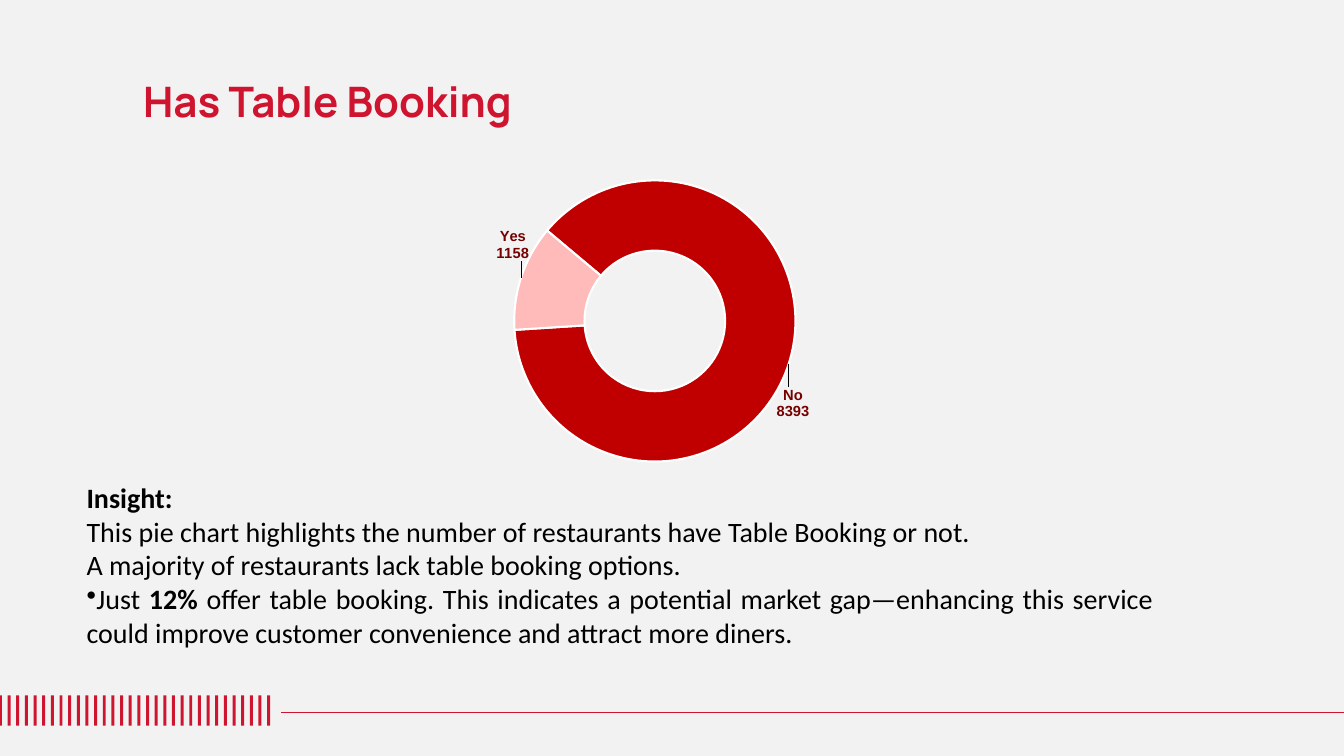
import copy
from dataclasses import dataclass

import pptx
import pptx.chart.data
import pptx.dml.color
import pptx.enum.chart
import pptx.enum.shapes
import pptx.enum.text
import pptx.oxml
import pptx.oxml.ns
import pptx.util
from pptx.util import Inches

# Content
TITLE = "Has Table Booking"
# answer: restaurants, slice colour, label shift as a share of the chart
BOOKING = {
    "No": (8393, "C00000", (0.10, 0.16)),
    "Yes": (1158, "FFBABA", (-0.11, -0.14)),
}
# (bulleted, [(text, bold), ...])
INSIGHT = [
    (False, [("Insight:", True)]),
    (False, [("This pie chart highlights the number of restaurants "
              "have Table Booking or not.", False)]),
    (False, [("A majority of restaurants lack table booking options.", False)]),
    (True, [("Just ", False), ("12% ", True),
            ("offer table booking. This indicates a potential market "
             "gap—enhancing this service could improve customer convenience "
             "and attract more diners.", False)]),
]


@dataclass(frozen=True)
class Theme:
    background: str = "F2F2F2"
    accent: str = "CF142F"
    label: str = "760000"
    text: str = "000000"
    slice_edge: str = "FFFFFF"
    title_font: str = "Manrope"
    body_font: str = "Calibri"
    chart_font: str = "Arial"
    title_size: float = 30
    body_size: float = 20
    chart_size: float = 10
    label_size: float = 10.5


THEME = Theme()


def rgb(colour):
    return pptx.dml.color.RGBColor.from_string(colour)


def style(font, name, size, colour, bold):
    font.name, font.size, font.bold = name, pptx.util.Pt(size), bold
    font.color.rgb = rgb(colour)


def chart_xml(body):
    return pptx.oxml.parse_xml(body.replace(
        ">", " " + pptx.oxml.ns.nsdecls("c") + ">", 1))


def manual_layout(x, y, extra=""):
    return (f'<c:layout><c:manualLayout>{extra}<c:x val="{x}"/><c:y val="{y}"/>'
            "</c:manualLayout></c:layout>")


def add_stripes(slide):
    count, first, last = 32, -0.01, 2.65
    pitch = (last - first) / (count - 1)
    for i in range(count):
        stripe = slide.shapes.add_shape(
            pptx.enum.shapes.MSO_SHAPE.RECTANGLE,
            Inches(first + i * pitch), Inches(6.9), Inches(0.03), Inches(0.3))
        stripe.shadow.inherit = False
        stripe.fill.solid()
        stripe.fill.fore_color.rgb = rgb(THEME.accent)
        stripe.line.fill.background()

    rule = slide.shapes.add_connector(
        pptx.enum.shapes.MSO_CONNECTOR.STRAIGHT,
        Inches(2.79), Inches(7.07), Inches(13.33), Inches(7.07))
    rule.line.color.rgb = rgb(THEME.accent)
    rule.line.width = pptx.util.Pt(0.75)
    rule._element.spPr.append(pptx.oxml.parse_xml(
        f'<a:effectLst {pptx.oxml.ns.nsdecls("a")}/>'))


def add_title(slide):
    title = slide.shapes.title
    title.left, title.top = Inches(1.32), Inches(0.75)
    title.width, title.height = Inches(5.54), Inches(0.56)
    frame = title.text_frame
    frame.word_wrap = True
    frame.auto_size = pptx.enum.text.MSO_AUTO_SIZE.SHAPE_TO_FIT_TEXT
    frame.vertical_anchor = pptx.enum.text.MSO_ANCHOR.MIDDLE
    heading = frame.paragraphs[0]
    heading.alignment = pptx.enum.text.PP_ALIGN.LEFT
    heading.line_spacing = 0.9
    run = heading.add_run()
    run.text = TITLE
    style(run.font, THEME.title_font, THEME.title_size, THEME.accent, True)


def add_booking_chart(slide):
    data = pptx.chart.data.CategoryChartData()
    data.categories = list(BOOKING)
    data.add_series("Series 1", [count for count, _, _ in BOOKING.values()])
    chart = slide.shapes.add_chart(
        pptx.enum.chart.XL_CHART_TYPE.DOUGHNUT,
        Inches(4.61), Inches(1.65), Inches(3.77), Inches(3.07), data).chart
    chart.has_legend = False
    chart.has_title = False
    style(chart.font, THEME.chart_font, THEME.chart_size, THEME.text, False)

    # Ring: size, start angle and hole
    plot = chart.plots[0]
    plot.vary_by_categories = True
    ring = plot._element
    ring.xpath("c:firstSliceAng")[0].set("val", "310")
    ring.xpath("c:holeSize")[0].set("val", "60")
    area = ring.getparent()
    for old in area.xpath("c:layout"):
        area.remove(old)
    width, height = 0.74, 0.91
    area.insert(0, chart_xml(manual_layout(
        (1 - width) / 2, (1 - height) / 2,
        '<c:layoutTarget val="inner"/><c:xMode val="edge"/><c:yMode val="edge"/>'
    ).replace("</c:manualLayout>",
              f'<c:w val="{width}"/><c:h val="{height}"/></c:manualLayout>')))

    # Labels: answer above its count, moved outside the ring
    booking = plot.series[0]
    labels = booking.data_labels
    labels.show_category_name = labels.show_value = True
    style(labels.font, THEME.chart_font, THEME.label_size, THEME.label, True)
    group = labels._element
    for leader in group.xpath("c:showLeaderLines"):
        group.remove(leader)
    group.append(chart_xml("<c:separator>\n</c:separator>"))
    group.append(chart_xml('<c:showLeaderLines val="1"></c:showLeaderLines>'))
    flags = "".join(
        f'<c:show{name} val="{int(name in ("Val", "CatName"))}"/>'
        for name in ("LegendKey", "Val", "CatName", "SerName", "Percent",
                     "BubbleSize"))
    for i, (_, colour, shift) in enumerate(BOOKING.values()):
        portion = booking.points[i].format
        portion.fill.solid()
        portion.fill.fore_color.rgb = rgb(colour)
        portion.line.color.rgb = rgb(THEME.slice_edge)
        portion.line.width = pptx.util.Pt(1.5)
        label = chart_xml(
            f'<c:dLbl><c:idx val="{i}"/>{manual_layout(*shift)}{flags}'
            "<c:separator>\n</c:separator></c:dLbl>")
        label.insert(2, copy.deepcopy(group.xpath("c:txPr")[0]))
        group.insert(i, label)


def add_insight(slide):
    frame = slide.shapes.add_textbox(
        Inches(0.76), Inches(4.72), Inches(10.78), Inches(2.09)).text_frame
    frame.word_wrap = True
    for i, (bulleted, parts) in enumerate(INSIGHT):
        line = frame.add_paragraph() if i else frame.paragraphs[0]
        line.alignment = pptx.enum.text.PP_ALIGN.JUSTIFY
        if bulleted:
            props = line._p.get_or_add_pPr()
            props.set("marL", "0")
            props.set("indent", "0")
            props.append(pptx.oxml.parse_xml(
                f'<a:buChar {pptx.oxml.ns.nsdecls("a")} char="•"/>'))
        for text, bold in parts:
            run = line.add_run()
            run.text = text
            style(run.font, THEME.body_font, THEME.body_size, THEME.text, bold)


def main():
    deck = pptx.Presentation()
    deck.slide_width, deck.slide_height = Inches(13.33), Inches(7.5)
    slide = deck.slides.add_slide(deck.slide_layouts.get_by_name("Title Only"))
    slide.background.fill.solid()
    slide.background.fill.fore_color.rgb = rgb(THEME.background)
    add_stripes(slide)
    add_title(slide)
    add_booking_chart(slide)
    add_insight(slide)
    deck.save("out.pptx")


if __name__ == "__main__":
    main()
